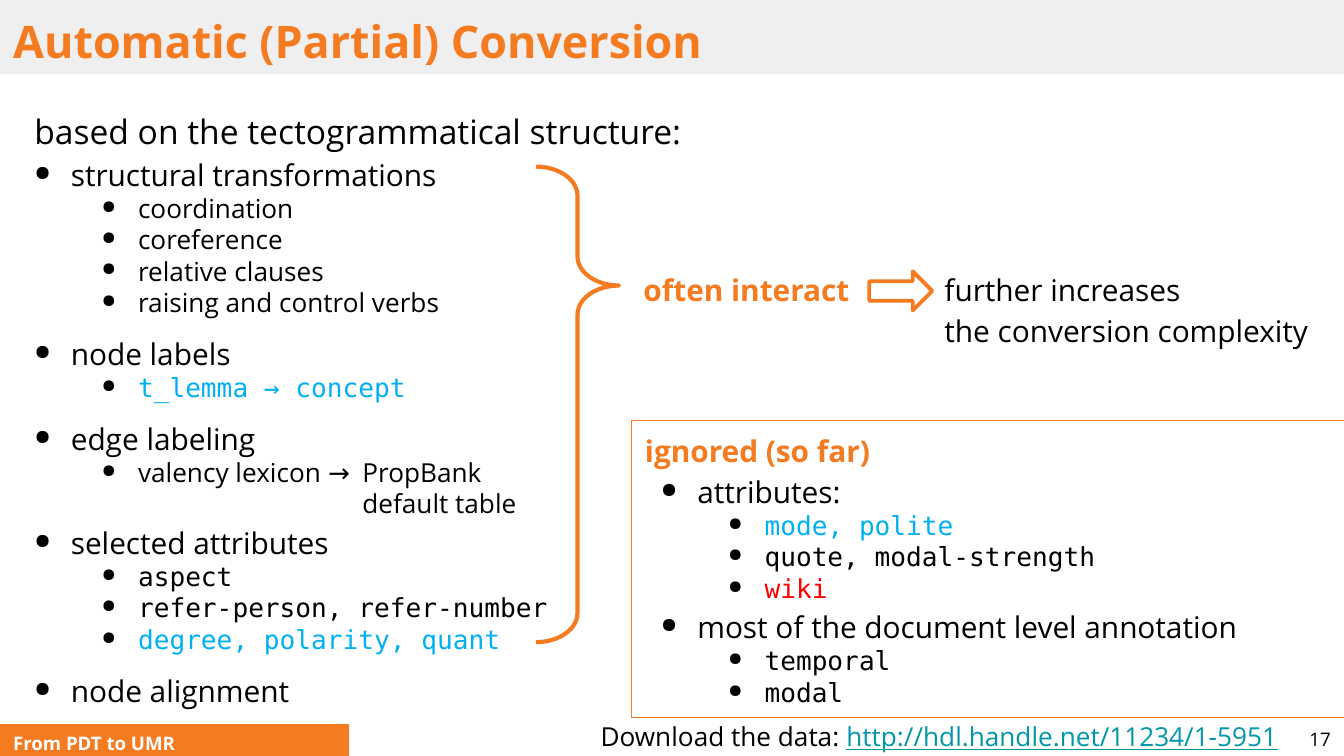
import pptx
import pptx.util
import pptx.dml.color
import pptx.enum.shapes
import pptx.enum.text
import pptx.oxml.ns
from lxml import etree
from pptx.util import Cm, Pt

COLORS = {
    "orange": "F47B20",
    "band": "EFEFEF",
    "black": "000000",
    "white": "FFFFFF",
    "blue": "00B0F0",
    "red": "FF0000",
    "link": "0097A7",
}
SANS = "Open Sans"
MONO = "DejaVu Sans Mono"
SHAPES = pptx.enum.shapes.MSO_SHAPE
ANCHOR = pptx.enum.text.MSO_ANCHOR


def rgb(color):
    return pptx.dml.color.RGBColor.from_string(COLORS[color])


def style_font(font, size, color="black", name=SANS, bold=False, underline=None):
    font.size = Pt(size)
    font.name = name
    font.bold = bold
    font.underline = underline
    font.color.rgb = rgb(color)


def add_property(parent, tag, **attributes):
    element = etree.SubElement(parent, pptx.oxml.ns.qn(tag))
    for key, value in attributes.items():
        element.set(key, str(value))
    return element


def add_bullet(properties):
    bullet_color = add_property(properties, "a:buClr")
    add_property(bullet_color, "a:srgbClr", val=COLORS["black"])
    add_property(properties, "a:buSzPct", val=70000)
    add_property(properties, "a:buChar", char="●")


def line(runs, size=16, color="black", name=SANS, bold=False,
         left=0, hanging=0, spacing=1.0, tabs=()):
    return dict(runs=runs, font=dict(size=size, color=color, name=name, bold=bold),
                left=left, hanging=hanging, spacing=spacing, tabs=tabs)


def topic(text, spacing=1.15):
    return line(text, left=0.99, hanging=0.69, spacing=spacing)


def detail(text, color="black", name=SANS, tabs=()):
    return line(text, size=14, color=color, name=name,
                left=2.26, hanging=0.69, tabs=tabs)


def code(text, color="black"):
    return detail(text, color, MONO)


def write_line(paragraph, content):
    properties = paragraph._p.get_or_add_pPr()
    properties.set("marL", str(Cm(content["left"])))
    properties.set("indent", str(Cm(-content["hanging"])))
    if content["hanging"]:
        add_bullet(properties)
    if content["tabs"]:
        tab_list = add_property(properties, "a:tabLst")
        for position in content["tabs"]:
            add_property(tab_list, "a:tab", pos=Cm(position), algn="l")
    paragraph.line_spacing = content["spacing"]
    paragraph.space_before = Pt(0)
    paragraph.alignment = pptx.enum.text.PP_ALIGN.LEFT
    if isinstance(content["runs"], str):
        paragraph.text = content["runs"]
        style_font(paragraph.font, **content["font"])
    else:
        for text, changes in content["runs"]:
            run = paragraph.add_run()
            run.text = text
            style_font(run.font, **{**content["font"], **changes})


def write(shape, lines, insets=(0.25, 0.13, 0.25, 0.13), anchor=ANCHOR.TOP):
    frame = shape.text_frame
    frame.word_wrap = True
    frame.auto_size = pptx.enum.text.MSO_AUTO_SIZE.NONE
    frame.vertical_anchor = anchor
    (frame.margin_left, frame.margin_top,
     frame.margin_right, frame.margin_bottom) = map(Cm, insets)
    for index, content in enumerate(lines):
        paragraph = frame.add_paragraph() if index else frame.paragraphs[0]
        write_line(paragraph, content)
    return frame


def add_text(slide, place, lines, **options):
    return write(slide.shapes.add_textbox(*map(Cm, place)), lines, **options)


def add_figure(slide, kind, place, fill=None, outline=None, width=0):
    figure = slide.shapes.add_shape(kind, *map(Cm, place))
    figure.shadow.inherit = False
    if fill:
        figure.fill.solid()
        figure.fill.fore_color.rgb = rgb(fill)
    else:
        figure.fill.background()
    if outline:
        figure.line.color.rgb = rgb(outline)
        figure.line.width = Pt(width)
    else:
        figure.line.fill.background()
    return figure


def add_title(slide, text):
    title = slide.shapes.title
    title.left, title.top, title.width, title.height = map(Cm, (0, 0, 25.4, 1.4))
    title.fill.solid()
    title.fill.fore_color.rgb = rgb("band")
    write(title, [line(text, size=24, color="orange", bold=True)],
          insets=(0.25, 0.25, 0.25, 0.25))


def add_conversion_steps(slide):
    add_text(slide, (0.1, 1.73, 23.67, 11.43), [
        line("based on the tectogrammatical structure:", size=18, left=0.3, spacing=1.15),
        topic("structural transformations"),
        detail("coordination"),
        detail("coreference"),
        detail("relative clauses"),
        detail("raising and control verbs"),
        topic("node labels", 1.5),
        code("t_lemma → concept", "blue"),
        topic("edge labeling", 1.5),
        detail("valency lexicon → \tPropBank", tabs=(4.24, 6.5)),
        line("default table", size=14, left=6.5),
        topic("selected attributes"),
        code("aspect"),
        code("refer-person, refer-number"),
        code("degree, polarity, quant", "blue"),
        topic("node alignment", 1.5),
    ], insets=(0.25, 0.25, 0.25, 0.25))


def add_interaction(slide):
    brace = add_figure(slide, SHAPES.RIGHT_BRACE, (10.13, 3.15, 1.57, 8.99),
                       outline="orange", width=2.25)
    brace.adjustments[0] = 0.35
    brace.adjustments[1] = 0.25
    add_text(slide, (11.91, 4.91, 4.6, 1.0), [
        line("often interact", color="orange", bold=True, spacing=1.14),
    ])
    add_figure(slide, SHAPES.RIGHT_ARROW, (16.43, 5.13, 1.19, 0.74),
               outline="orange", width=2)
    add_text(slide, (17.6, 4.91, 7.8, 1.8), [
        line("further increases", spacing=1.14),
        line("the conversion complexity", spacing=1.14),
    ])


def add_ignored(slide):
    ignored = add_figure(slide, SHAPES.RECTANGLE, (11.94, 7.95, 13.48, 5.61),
                         outline="orange", width=0.75)
    write(ignored, [
        line("ignored (so far)", color="orange", bold=True, spacing=1.14),
        topic("attributes:"),
        code("mode, polite", "blue"),
        code("quote, modal-strength"),
        code("wiki", "red"),
        topic("most of the document level annotation"),
        code("temporal"),
        code("modal"),
    ])


def add_footer(slide):
    footer = add_figure(slide, SHAPES.RECTANGLE, (0, 13.69, 6.6, 0.6), fill="orange")
    write(footer, [line("From PDT to UMR", size=10, color="white", bold=True, spacing=1.15)],
          insets=(0.25, 0.08, 0.25, 0.03))
    add_text(slide, (11.1, 13.49, 13.41, 0.8), [
        line([("Download the data: ", {}),
              ("http://hdl.handle.net/11234/1-5951", dict(color="link", underline=True))],
             size=14),
    ])
    page = add_text(slide, (23.88, 13.67, 1.52, 0.61), [line("17", size=10)],
                    anchor=ANCHOR.MIDDLE)
    page.paragraphs[0].alignment = pptx.enum.text.PP_ALIGN.RIGHT


def main():
    deck = pptx.Presentation()
    deck.slide_width, deck.slide_height = Cm(25.4), Cm(14.29)
    slide = deck.slides.add_slide(deck.slide_layouts[5])
    add_title(slide, "Automatic (Partial) Conversion")
    add_conversion_steps(slide)
    add_interaction(slide)
    add_ignored(slide)
    add_footer(slide)
    deck.save("out.pptx")


if __name__ == "__main__":
    main()
